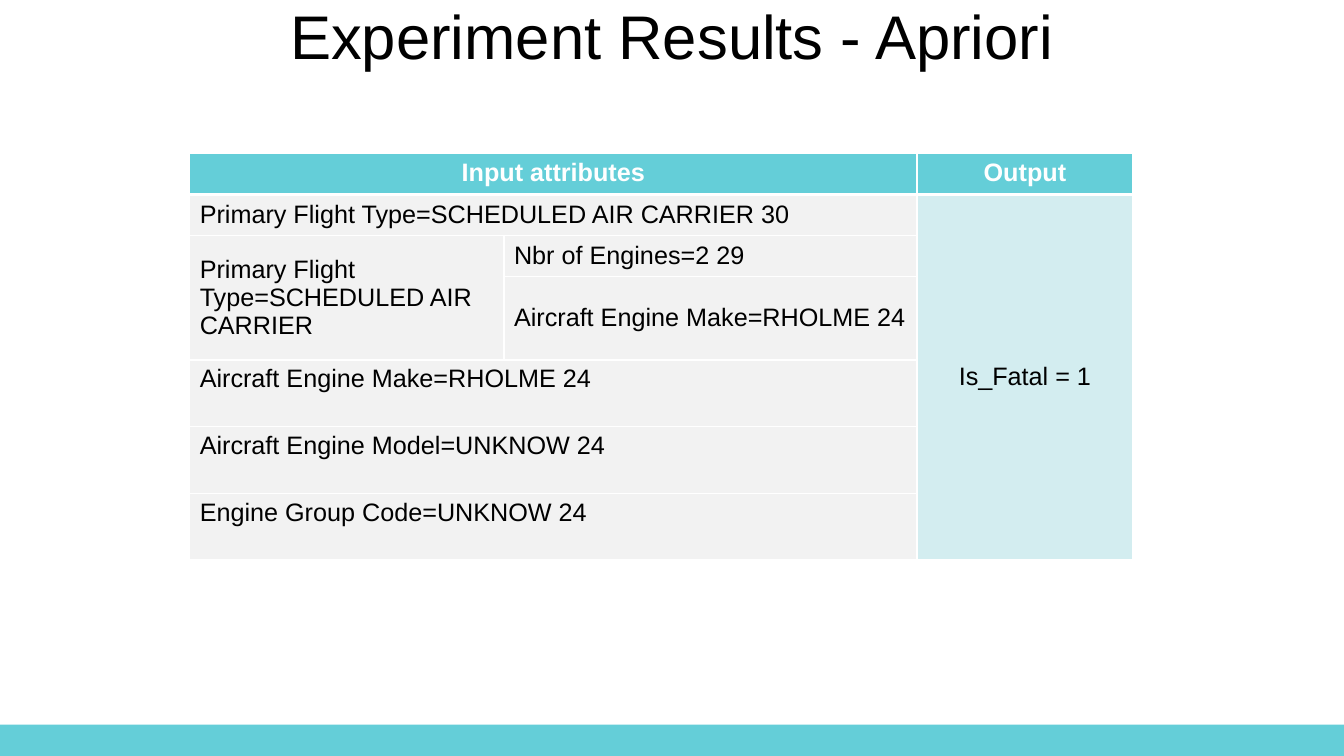
import pptx
import pptx.util
import pptx.dml.color
import pptx.enum.shapes
import pptx.enum.text
import pptx.oxml
import pptx.oxml.ns

Cm, Pt = pptx.util.Cm, pptx.util.Pt
ALIGN = pptx.enum.text.PP_ALIGN
ANCHOR = pptx.enum.text.MSO_ANCHOR
TEAL, PALE_TEAL, GREY, WHITE, BLACK = "64CED8", "D3EDF0", "F2F2F2", "FFFFFF", "000000"


def color(hex_code):
    return pptx.dml.color.RGBColor.from_string(hex_code)


def style(paragraph, size, hex_code, align, bold=False):
    paragraph.alignment = align
    paragraph.font.name = "Arial"
    paragraph.font.size = Pt(size)
    paragraph.font.bold = bold
    paragraph.font.color.rgb = color(hex_code)


deck = pptx.Presentation()
deck.slide_width, deck.slide_height = Cm(33.87), Cm(19.05)
slide = deck.slides.add_slide(deck.slide_layouts[6])

footer = slide.shapes.add_shape(
    pptx.enum.shapes.MSO_SHAPE.RECTANGLE, Cm(0), Cm(18.26), Cm(33.87), Cm(0.79))
footer.shadow.inherit = False
footer.fill.solid()
footer.fill.fore_color.rgb = color(TEAL)
footer.line.fill.background()

title = slide.shapes.add_textbox(Cm(0.86), Cm(0), Cm(32.16), Cm(2)).text_frame
title.word_wrap = True
title.vertical_anchor = ANCHOR.MIDDLE
title.text = "Experiment Results - Apriori"
style(title.paragraphs[0], 44, BLACK, ALIGN.CENTER)
title.paragraphs[0].line_spacing = 0.9

column_widths = [7.92, 10.41, 5.44]
row_heights = [1.03, 1.03, 1.03, 2.11, 1.68, 1.68, 1.68]
rules = slide.shapes.add_table(
    len(row_heights), len(column_widths), Cm(4.78), Cm(3.87),
    Cm(sum(column_widths)), Cm(sum(row_heights))).table
for column, width in zip(rules.columns, column_widths):
    column.width = Cm(width)
for row, height in zip(rules.rows, row_heights):
    row.height = Cm(height)

for r in range(len(row_heights)):
    for c in range(len(column_widths)):
        cell = rules.cell(r, c)
        cell.fill.solid()
        cell.fill.fore_color.rgb = color(TEAL if r == 0 else PALE_TEAL if c == 2 else GREY)
        for position, side in enumerate(["L", "R", "T", "B"]):
            heavy = (r == 0 and side == "B") or (r == 1 and side == "T")
            border = pptx.oxml.parse_xml(
                f'<a:ln{side} {pptx.oxml.ns.nsdecls("a")} w="{Pt(3 if heavy else 1)}">'
                f'<a:solidFill><a:srgbClr val="{WHITE}"/></a:solidFill></a:ln{side}>')
            cell._tc.get_or_add_tcPr().insert(position, border)

entries = [
    (0, 0, 1, 2, "Input attributes"),
    (0, 2, 1, 1, "Output"),
    (1, 0, 1, 2, "Primary Flight Type=SCHEDULED AIR CARRIER 30"),
    (1, 2, 6, 1, "Is_Fatal = 1"),
    (2, 0, 2, 1, "Primary Flight Type=SCHEDULED AIR CARRIER"),
    (2, 1, 1, 1, "Nbr of Engines=2 29"),
    (3, 1, 1, 1, "Aircraft Engine Make=RHOLME 24"),
    (4, 0, 1, 2, "Aircraft Engine Make=RHOLME 24"),
    (5, 0, 1, 2, "Aircraft Engine Model=UNKNOW 24"),
    (6, 0, 1, 2, "Engine Group Code=UNKNOW 24"),
]
for r, c, row_span, column_span, wording in entries:
    cell = rules.cell(r, c)
    if row_span * column_span > 1:
        cell.merge(rules.cell(r + row_span - 1, c + column_span - 1))
    cell.text = wording
    cell.vertical_anchor = ANCHOR.TOP if r in (0, 4, 5, 6) else ANCHOR.MIDDLE
    header = r == 0
    style(cell.text_frame.paragraphs[0], 18, WHITE if header else BLACK,
          ALIGN.CENTER if header or c == 2 else ALIGN.LEFT, header)

deck.save("out.pptx")
